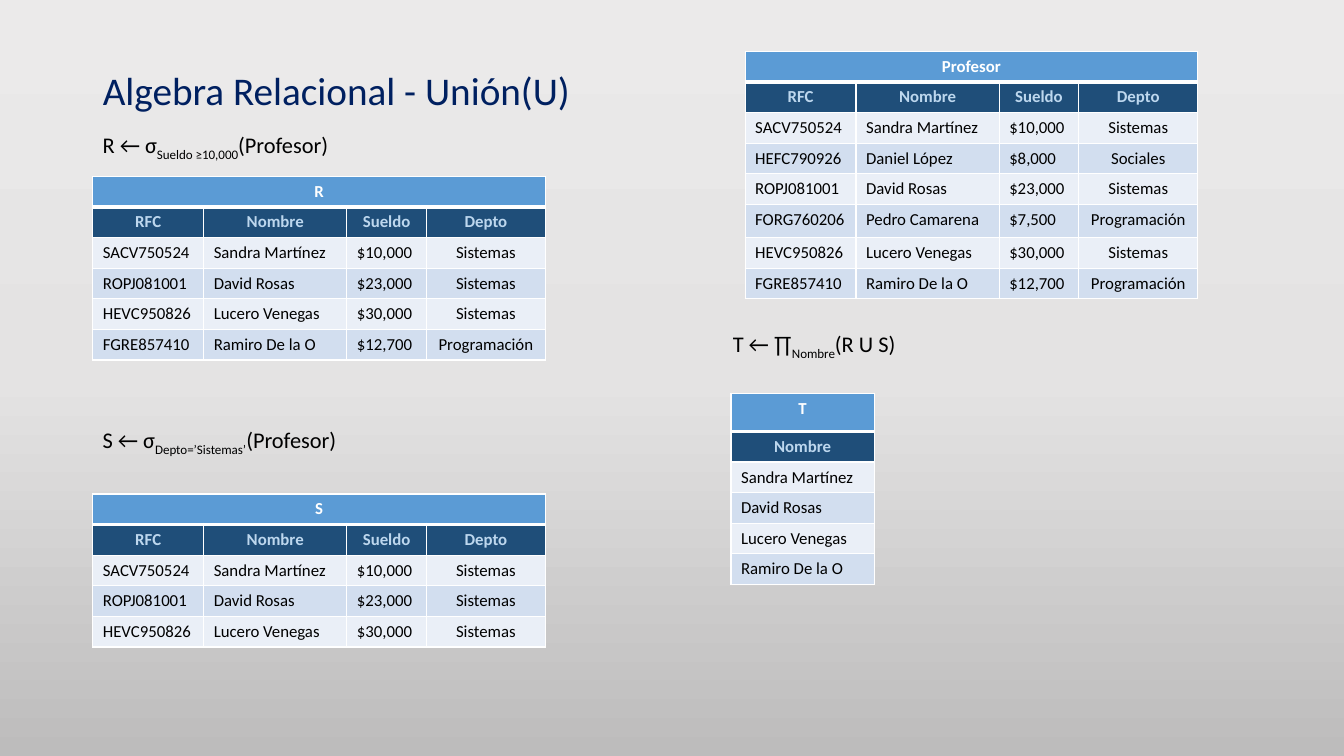
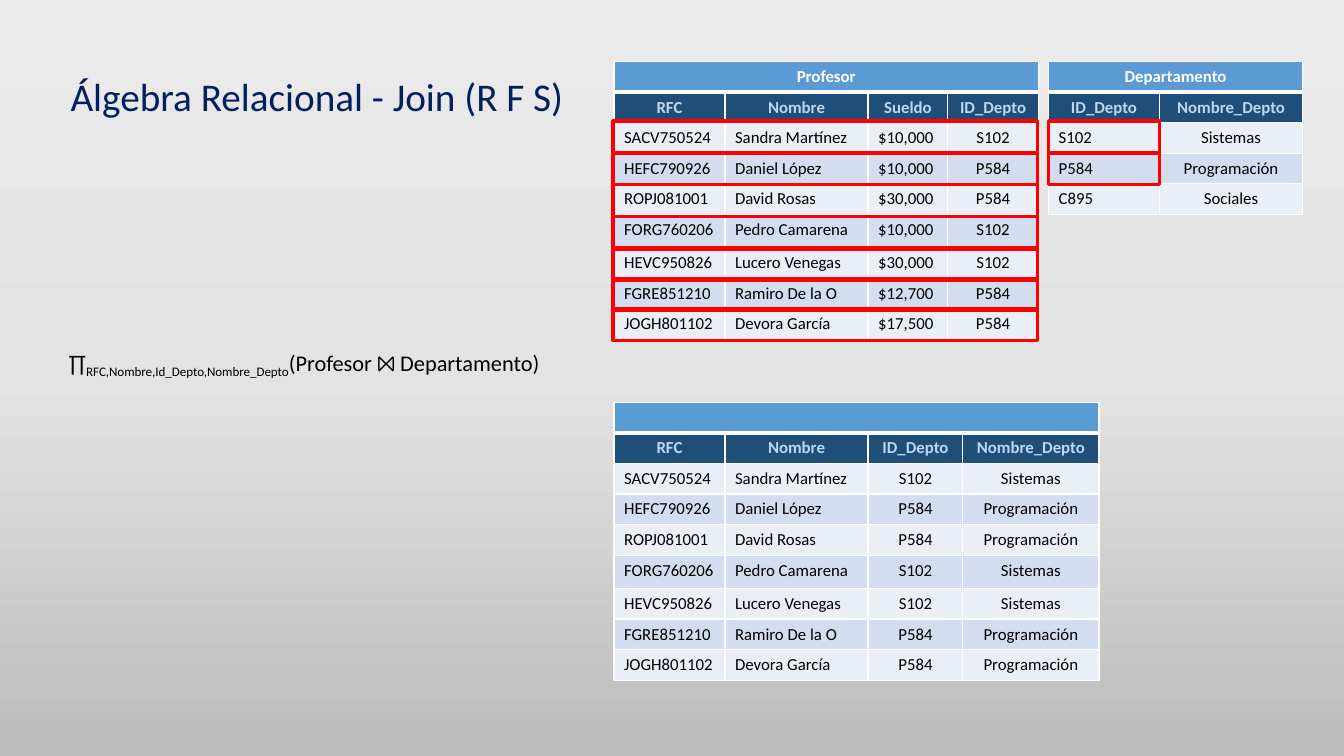
from dataclasses import dataclass
from typing import Any

from lxml.etree import SubElement
from pptx import Presentation
from pptx.dml.color import RGBColor
from pptx.enum.shapes import MSO_SHAPE
from pptx.enum.text import MSO_ANCHOR, MSO_AUTO_SIZE, PP_ALIGN
from pptx.oxml.ns import qn
from pptx.util import Inches, Pt

COLORS = {
    "title": "002060",
    "text": "000000",
    "white": "FFFFFF",
    "caption": "5B9BD5",
    "header": "1F4E79",
    "header_text": "BDD7EE",
    "odd_row": "EAEFF7",
    "even_row": "D2DEEF",
    "highlight": "FF0000",
}
BACKGROUND_STOPS = ((0, "EBEAEA"), (50, "E4E3E3"), (100, "BDBCBC"))
FONT = "Calibri"
TITLE_FORMAT = {"name": FONT, "size": Pt(28)}
FORMULA_FORMAT = {"name": FONT, "size": Pt(16)}
HEADING_FORMAT = {"name": FONT, "size": Pt(12), "bold": True}
CELL_FORMAT = {"name": FONT, "size": Pt(12), "bold": False}
ROW_HEIGHT = 0.3
TALL_ROW = {"FORG760206": 0.33}

Row = tuple[str, ...]


@dataclass(frozen=True)
class Professor:
    rfc: str
    name: str
    salary: int
    department: str

    def row(self) -> Row:
        return self.rfc, self.name, f"${self.salary:,}", self.department


@dataclass(frozen=True)
class Relation:
    caption: str
    left: float
    top: float
    widths: tuple[float, ...]
    headers: Row
    rows: list[Row]
    left_columns: int
    caption_height: float = ROW_HEIGHT


@dataclass(frozen=True)
class Formula:
    left: float
    top: float
    width: float
    start: str
    subscript: str
    end: str
    line_spacing: float = 1.07


PROFESSORS = [
    Professor("SACV750524", "Sandra Martínez", 10000, "Sistemas"),
    Professor("HEFC790926", "Daniel López", 8000, "Sociales"),
    Professor("ROPJ081001", "David Rosas", 23000, "Sistemas"),
    Professor("FORG760206", "Pedro Camarena", 7500, "Programación"),
    Professor("HEVC950826", "Lucero Venegas", 30000, "Sistemas"),
    Professor("FGRE857410", "Ramiro De la O", 12700, "Programación"),
]
WELL_PAID = [person for person in PROFESSORS if person.salary >= 10000]
IN_SYSTEMS = [person for person in PROFESSORS if person.department == "Sistemas"]
UNION_NAMES = dict.fromkeys(person.name for person in WELL_PAID + IN_SYSTEMS)

DEPARTMENTS = {"S102": "Sistemas", "P584": "Programación", "C895": "Sociales"}
STAFF = [
    Professor("SACV750524", "Sandra Martínez", 10000, "S102"),
    Professor("HEFC790926", "Daniel López", 10000, "P584"),
    Professor("ROPJ081001", "David Rosas", 30000, "P584"),
    Professor("FORG760206", "Pedro Camarena", 10000, "S102"),
    Professor("HEVC950826", "Lucero Venegas", 30000, "S102"),
    Professor("FGRE851210", "Ramiro De la O", 12700, "P584"),
    Professor("JOGH801102", "Devora García", 17500, "P584"),
]
HIGHLIGHT_TOPS = (1.2, 1.51, 1.83, 2.15, 2.46, 2.76, 3.06)


def color(name: str) -> RGBColor:
    return RGBColor.from_string(COLORS[name])


def format_font(font: Any, values: dict[str, Any], color_name: str) -> None:
    for attribute, value in values.items():
        setattr(font, attribute, value)
    font.color.rgb = color(color_name)


def paint_background(deck: Any) -> None:
    master = deck.slide_master
    fill = master.background.fill
    fill.gradient()
    fill.gradient_angle = 270
    stops = master.element.find(".//" + qn("a:gsLst"))
    for stop in list(stops):
        stops.remove(stop)
    for percent, value in BACKGROUND_STOPS:
        stop = SubElement(stops, qn("a:gs"), pos=str(percent * 1000))
        SubElement(stop, qn("a:srgbClr"), val=value)


def add_page(deck: Any, title: str, left: float, top: float) -> Any:
    page = deck.slides.add_slide(deck.slide_layouts[5])
    box = page.shapes.title
    box.left, box.top = Inches(left), Inches(top)
    box.width, box.height = Inches(5.4), Inches(0.55)
    frame = box.text_frame
    frame.auto_size = MSO_AUTO_SIZE.NONE
    frame.vertical_anchor = MSO_ANCHOR.TOP
    para = frame.paragraphs[0]
    para.alignment = PP_ALIGN.LEFT
    para.line_spacing = 0.9
    span = para.add_run()
    span.text = title
    format_font(span.font, TITLE_FORMAT, "title")
    return page


def add_formula(page: Any, formula: Formula) -> None:
    box = page.shapes.add_textbox(
        Inches(formula.left), Inches(formula.top), Inches(formula.width), Inches(0.38)
    )
    box.text_frame.word_wrap = True
    para = box.text_frame.paragraphs[0]
    para.line_spacing = formula.line_spacing
    for text in (formula.start, formula.subscript, formula.end):
        span = para.add_run()
        span.text = text
        format_font(span.font, FORMULA_FORMAT, "text")
        if text == formula.subscript:
            span.font._element.set("baseline", "-25000")


def set_borders(cell: Any, top: float, bottom: float) -> None:
    properties = cell._tc.get_or_add_tcPr()
    for side, width in (("L", 1), ("R", 1), ("T", top), ("B", bottom)):
        line = SubElement(properties, qn(f"a:ln{side}"), w=str(Pt(width)))
        fill = SubElement(line, qn("a:solidFill"))
        SubElement(fill, qn("a:srgbClr"), val=COLORS["white"])


def fill_cell(
    cell: Any, text: str, fill: str, text_color: str, values: dict[str, Any], centered: bool
) -> None:
    cell.fill.solid()
    cell.fill.fore_color.rgb = color(fill)
    para = cell.text_frame.paragraphs[0]
    para.alignment = PP_ALIGN.CENTER if centered else PP_ALIGN.LEFT
    if text:
        span = para.add_run()
        span.text = text
        format_font(span.font, values, text_color)
    else:
        SubElement(para._p, qn("a:endParaRPr"), sz=str(int(values["size"].pt * 100)))


def add_relation(page: Any, relation: Relation) -> None:
    columns = len(relation.widths)
    caption_row = (relation.caption,) + ("",) * (columns - 1)
    rows = [caption_row, relation.headers, *relation.rows]
    heights = [relation.caption_height]
    heights += [TALL_ROW.get(row[0], ROW_HEIGHT) for row in rows[1:]]
    table = page.shapes.add_table(
        len(rows), columns, Inches(relation.left), Inches(relation.top),
        Inches(sum(relation.widths)), Inches(sum(heights)),
    ).table
    table.first_row = table.horz_banding = False
    for column, width in zip(table.columns, relation.widths):
        column.width = Inches(width)
    for index, (row, height) in enumerate(zip(rows, heights)):
        table.rows[index].height = Inches(height)
        for position, text in enumerate(row):
            cell = table.cell(index, position)
            set_borders(cell, 3 if index == 1 else 1, 3 if index == 0 else 1)
            if index == 0:
                fill_cell(cell, text, "caption", "white", HEADING_FORMAT, True)
            elif index == 1:
                fill_cell(cell, text, "header", "header_text", HEADING_FORMAT, True)
            else:
                band = "even_row" if index % 2 else "odd_row"
                centered = position >= relation.left_columns
                fill_cell(cell, text, band, "text", CELL_FORMAT, centered)
    if columns > 1:
        table.cell(0, 0).merge(table.cell(0, columns - 1))


def add_highlight(page: Any, left: float, top: float, width: float) -> None:
    box = page.shapes.add_shape(
        MSO_SHAPE.RECTANGLE, Inches(left), Inches(top), Inches(width), Inches(0.32)
    )
    box.shadow.inherit = False
    box.fill.background()
    box.line.color.rgb = color("highlight")
    box.line.width = Pt(2.25)


def build_union(deck: Any) -> None:
    page = add_page(deck, "Algebra Relacional - Unión(U)", 0.92, 0.66)
    widths = (1.1, 1.42, 0.79, 1.18)
    headers = ("RFC", "Nombre", "Sueldo", "Depto")
    for caption, left, top, people in (
        ("S", 0.92, 4.9, IN_SYSTEMS),
        ("R", 0.92, 1.75, WELL_PAID),
        ("Profesor", 7.39, 0.51, PROFESSORS),
    ):
        rows = [person.row() for person in people]
        add_relation(page, Relation(caption, left, top, widths, headers, rows, 3))
    names = [(name,) for name in UNION_NAMES]
    add_relation(page, Relation("T", 7.25, 3.9, (1.42,), ("Nombre",), names, 1, 0.38))
    for formula in (
        Formula(0.92, 1.23, 3.9, "R ← σ", "Sueldo ≥10,000", "(Profesor)"),
        Formula(0.92, 4.16, 3.9, "S ← σ", "Depto=’Sistemas’", "(Profesor)"),
        Formula(7.17, 3.21, 1.9, "T ← ∏", "Nombre", "(R U S)"),
    ):
        add_formula(page, formula)


def build_join(deck: Any) -> None:
    page = add_page(deck, "Álgebra Relacional - Join (R F S)", 0.6, 0.72)
    joined = [
        (person.rfc, person.name, person.department, DEPARTMENTS[person.department])
        for person in STAFF
    ]
    for relation in (
        Relation(
            "Profesor", 6.09, 0.61, (1.1, 1.42, 0.79, 0.9),
            ("RFC", "Nombre", "Sueldo", "ID_Depto"),
            [person.row() for person in STAFF], 3,
        ),
        Relation(
            "Departamento", 10.4, 0.61, (1.1, 1.42),
            ("ID_Depto", "Nombre_Depto"), list(DEPARTMENTS.items()), 1,
        ),
        Relation(
            "", 6.09, 3.99, (1.1, 1.42, 0.94, 1.35),
            ("RFC", "Nombre", "ID_Depto", "Nombre_Depto"), joined, 2,
        ),
    ):
        add_relation(page, relation)
    add_formula(page, Formula(
        0.58, 3.41, 5.24, "∏", "RFC,Nombre,Id_Depto,Nombre_Depto",
        "(Profesor ⨝ Departamento)", 1.0,
    ))
    for top in HIGHLIGHT_TOPS:
        add_highlight(page, 6.08, top, 4.21)
    for top in HIGHLIGHT_TOPS[:2]:
        add_highlight(page, 10.4, top, 1.1)


def main() -> None:
    deck = Presentation()
    deck.slide_width, deck.slide_height = Inches(13.33), Inches(7.5)
    paint_background(deck)
    build_union(deck)
    build_join(deck)
    deck.save("out.pptx")


if __name__ == "__main__":
    main()
